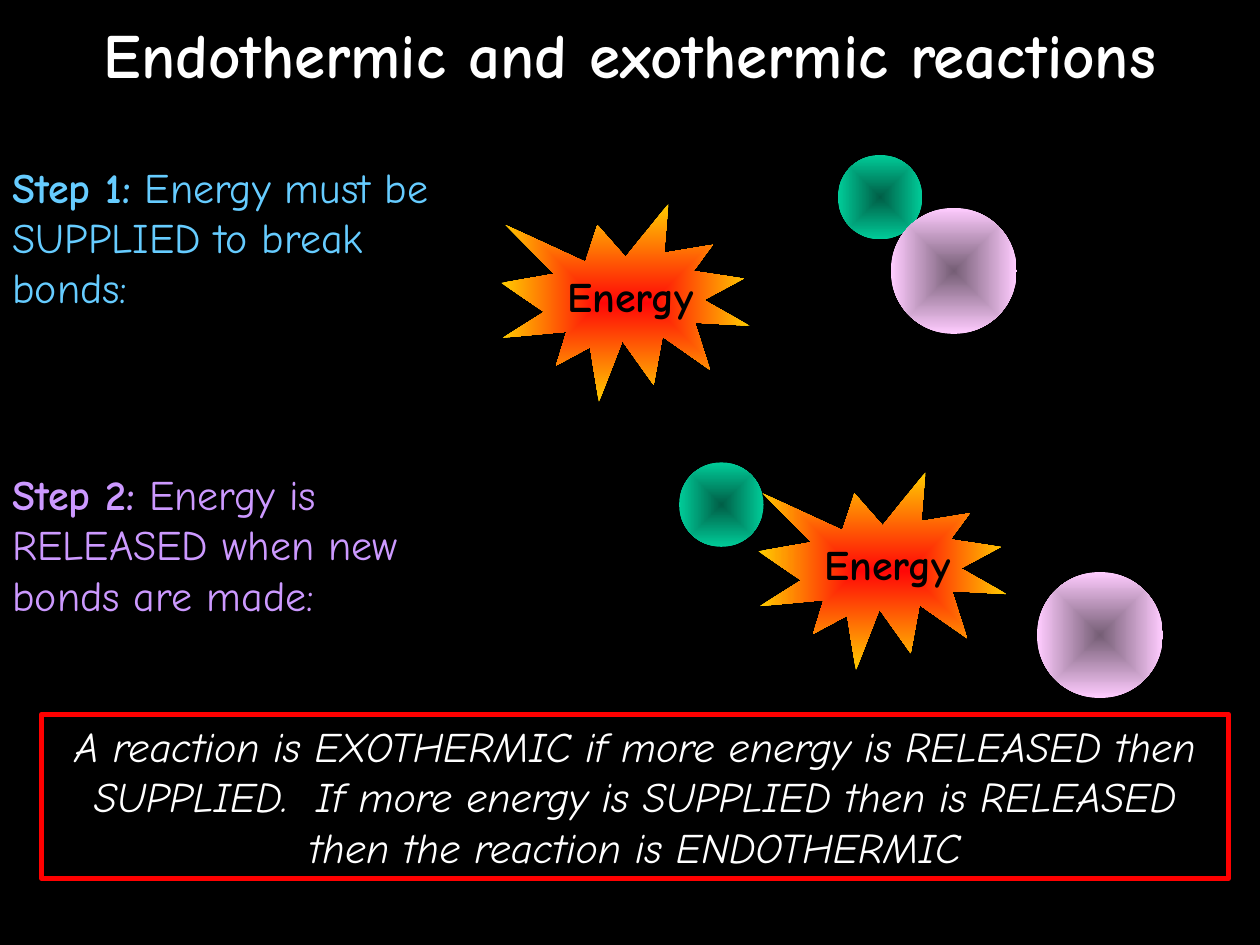
import pptx
import pptx.util
import pptx.dml.color
import pptx.enum.shapes
import pptx.enum.text
import pptx.oxml
import pptx.oxml.ns

RGB = pptx.dml.color.RGBColor
SHAPE = pptx.enum.shapes.MSO_SHAPE
ALIGN = pptx.enum.text.PP_ALIGN
ANCHOR = pptx.enum.text.MSO_ANCHOR

BLACK = RGB(0x00, 0x00, 0x00)
WHITE = RGB(0xFF, 0xFF, 0xFF)
RED = RGB(0xFF, 0x00, 0x00)
BLUE = RGB(0x66, 0xCC, 0xFF)
PURPLE = RGB(0xCC, 0x99, 0xFF)
GREEN_ATOM = RGB(0x00, 0x5E, 0x46), RGB(0x00, 0xCC, 0x99)
PINK_ATOM = RGB(0x75, 0x5E, 0x75), RGB(0xFF, 0xCC, 0xFF)
BURST = RGB(0xFF, 0x07, 0x07), RGB(0xFF, 0xCC, 0x00)

prs = pptx.Presentation()
prs.slide_width = pptx.util.Inches(10)
prs.slide_height = pptx.util.Inches(7.5)
COL = prs.slide_width / 100
ROW = prs.slide_height / 75
s = prs.slides.add_slide(prs.slide_layouts[6])
s.background.fill.solid()
s.background.fill.fore_color.rgb = BLACK


def add_text(shapes, x, y, w, h, runs, color, size=24, align=ALIGN.LEFT, italic=False):
    sp = shapes.add_textbox(int(x * COL), int(y * ROW), int(w * COL), int(h * ROW))
    tf = sp.text_frame
    tf.word_wrap = True
    p = tf.paragraphs[0]
    p.alignment = align
    p.font.name = "Comic Neue"
    p.font.size = pptx.util.Pt(size)
    p.font.color.rgb = color
    p.font.italic = italic
    for text, bold in runs:
        r = p.add_run()
        r.text = text
        r.font.bold = bold
    return sp


def add_glow(shapes, kind, x, y, w, h, colors):
    sp = shapes.add_shape(kind, int(x * COL), int(y * ROW), int(w * COL), int(h * ROW))
    sp.shadow.inherit = False
    sp.line.fill.background()
    sp.fill.gradient()
    for stop, position, color in zip(sp.fill.gradient_stops, (0, 1), colors):
        stop.position = position
        stop.color.rgb = color
    grad = sp._element.spPr.find(pptx.oxml.ns.qn("a:gradFill"))
    grad.remove(grad.find(pptx.oxml.ns.qn("a:lin")))
    grad.append(pptx.oxml.parse_xml(
        f'<a:path {pptx.oxml.ns.nsdecls("a")} path="rect">'
        '<a:fillToRect l="50000" t="50000" r="50000" b="50000"/></a:path>'))


title = add_text(s.shapes, 0, 0, 100, 8.4, [("Endothermic and exothermic reactions", True)],
                 WHITE, 36, ALIGN.CENTER)
title.text_frame.vertical_anchor = ANCHOR.MIDDLE

steps = [
    (12.3, 36.6, "Step 1:", " Energy must be SUPPLIED to break bonds:", BLUE,
     (66.5, 12.3), (70.7, 16.5), (39.8, 16.2)),
    (36.7, 39.8, "Step 2:", " Energy is RELEASED when new bonds are made:", PURPLE,
     (53.9, 36.7), (82.3, 45.4), (60.2, 37.5)),
]
for y, w, label, text, color, green, pink, burst in steps:
    add_text(s.shapes, 0, y, w, 13, [(label, True), (text, False)], color)
    add_glow(s.shapes, SHAPE.OVAL, *green, 6.7, 6.7, GREEN_ATOM)
    add_glow(s.shapes, SHAPE.OVAL, *pink, 10, 10, PINK_ATOM)
    bx, by = burst
    group = s.shapes.add_group_shape().shapes
    add_glow(group, SHAPE.EXPLOSION1, bx, by, 19.7, 15.7, BURST)
    add_text(group, bx + 2.35, by + 4.75, 15.8, 5, [("Energy", True)], BLACK,
             align=ALIGN.CENTER)

conclusion = add_text(
    s.shapes, 3.3, 56.7, 94.2, 13,
    [("A reaction is EXOTHERMIC if more energy is RELEASED then SUPPLIED.  If more energy "
      "is SUPPLIED then is RELEASED then the reaction is ENDOTHERMIC", False)],
    WHITE, align=ALIGN.CENTER, italic=True)
conclusion.line.color.rgb = RED
conclusion.line.width = pptx.util.Pt(3)

prs.save("out.pptx")
